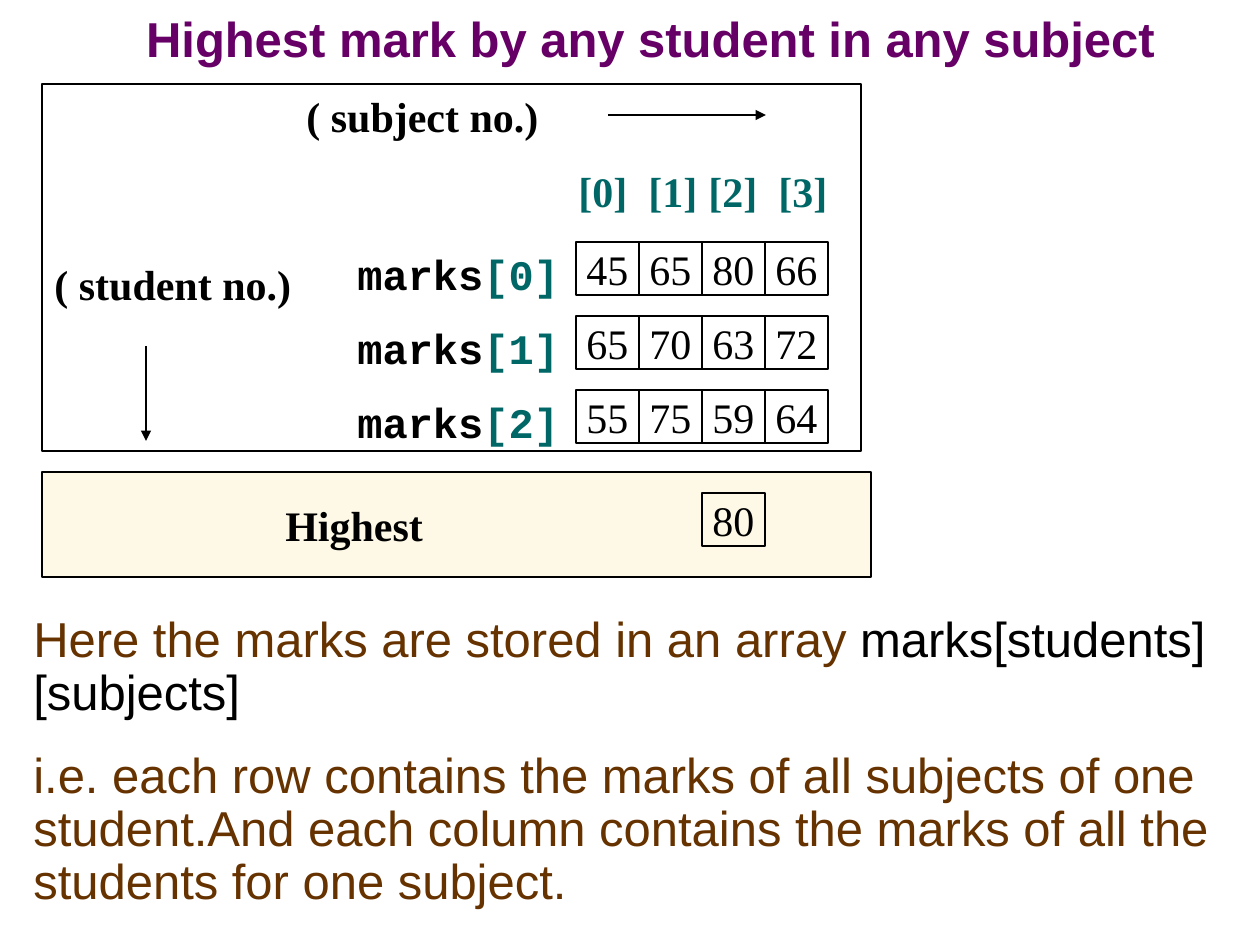
from lxml import etree
from pptx import Presentation
from pptx.dml.color import RGBColor
from pptx.enum.shapes import MSO_CONNECTOR, MSO_SHAPE
from pptx.enum.text import MSO_ANCHOR, PP_ALIGN
from pptx.oxml.ns import qn
from pptx.util import Emu, Pt

RECTANGLE, STRAIGHT = MSO_SHAPE.RECTANGLE, MSO_CONNECTOR.STRAIGHT
TOP, MIDDLE = MSO_ANCHOR.TOP, MSO_ANCHOR.MIDDLE
LEFT, CENTER = PP_ALIGN.LEFT, PP_ALIGN.CENTER
PX = 914400 // 126

BLACK, PURPLE, BROWN, TEAL, CREAM = "000000", "660066", "663300", "006666", "FEF9E6"

TITLE_FONT = {"name": "Arial", "size": Pt(28), "bold": True}
BODY_FONT = {"name": "Arial", "size": Pt(28), "bold": False}
LABEL_FONT = {"name": "Times New Roman", "size": Pt(24), "bold": True}
CELL_FONT = {"name": "Times New Roman", "size": Pt(24), "bold": False}
CODE_FONT = {"name": "Courier New", "size": Pt(24), "bold": True}

TITLE = "Highest mark by any student in any subject"
EXPLANATION = [
    [("Here the marks are stored in an array ", BROWN), ("marks[students][subjects]", BLACK)],
    [("i.e. each row contains the marks of all subjects of one student."
      "And each column contains the marks of all the students for one subject.", BROWN)],
]
MARKS = [
    [45, 65, 80, 66],
    [65, 70, 63, 72],
    [55, 75, 59, 64],
]
LABELS = [
    ("( subject no.)", (294, 84, 283, 63)),
    ("( student no.)", (42, 252, 283, 63)),
    ("Highest", (273, 493, 179, 63)),
]
PANELS = [((42, 84, 819, 367), None), ((42, 472, 829, 105), CREAM)]
ARROWS = [(146, 346, 146, 441), (608, 115, 766, 115)]
INDEX_TABS = [70, 130, 200]
GRID_LEFT, GRID_TOP = 576, 242
CELL_WIDTH, CELL_HEIGHT, ROW_PITCH = 63, 53, 74
HIGHEST_TOP = 493


def px(*lengths):
    return [Emu(length * PX) for length in lengths]


def color(value):
    return RGBColor.from_string(value)


def write(shape, paragraphs, font, align=LEFT, anchor=TOP, wrap=True, **spacing):
    frame = shape.text_frame
    frame.word_wrap = wrap
    frame.vertical_anchor = anchor
    for index, spans in enumerate(paragraphs):
        para = frame.add_paragraph() if index else frame.paragraphs[0]
        para.alignment = align
        for name, value in spacing.items():
            setattr(para, name, value)
        for text, hue in spans:
            span = para.add_run()
            span.text = text
            span.font.color.rgb = color(hue)
            for name, value in font.items():
                setattr(span.font, name, value)


def add_text(page, place, paragraphs, font, **layout):
    box = page.shapes.add_textbox(*px(*place))
    write(box, paragraphs, font, **layout)
    return box


def add_panel(page, place, fill=None):
    panel = page.shapes.add_shape(RECTANGLE, *px(*place))
    panel.shadow.inherit = False
    if fill:
        panel.fill.solid()
        panel.fill.fore_color.rgb = color(fill)
    else:
        panel.fill.background()
    panel.line.color.rgb = color(BLACK)
    panel.line.width = Pt(0.75)
    return panel


def add_cell(page, column, top, mark):
    left = GRID_LEFT + column * CELL_WIDTH
    cell = add_panel(page, (left, top, CELL_WIDTH, CELL_HEIGHT))
    write(cell, [[(str(mark), BLACK)]], CELL_FONT, align=CENTER, anchor=MIDDLE, wrap=False)


def add_arrow(page, ends):
    arrow = page.shapes.add_connector(STRAIGHT, *px(*ends))
    arrow.line.color.rgb = color(BLACK)
    arrow.line.width = Pt(0.75)
    etree.SubElement(arrow.line._get_or_add_ln(), qn("a:tailEnd"), type="triangle")
    etree.SubElement(arrow._element.spPr, qn("a:effectLst"))


def add_index_header(page):
    text = "\t".join(f"[{column}]" for column in range(len(MARKS[0])))
    header = add_text(page, (566, 159, 283, 63), [[(text, TEAL)]], LABEL_FONT)
    properties = header.text_frame.paragraphs[0]._p.get_or_add_pPr()
    stops = etree.SubElement(properties, qn("a:tabLst"))
    for position in INDEX_TABS:
        etree.SubElement(stops, qn("a:tab"), pos=str(position * PX), algn="l")


def main():
    deck = Presentation()
    deck.slide_width, deck.slide_height = px(1260, 945)
    page = deck.slides.add_slide(deck.slide_layouts[6])

    add_text(page, (47, -10, 1207, 95), [[(TITLE, PURPLE)]], TITLE_FONT,
             align=CENTER, anchor=MIDDLE)
    add_text(page, (21, 609, 1260, 309), EXPLANATION, BODY_FONT,
             line_spacing=0.9, space_before=Pt(17.5))

    for place, fill in PANELS:
        add_panel(page, place, fill)
    add_index_header(page)
    for row, marks in enumerate(MARKS):
        top = GRID_TOP + row * ROW_PITCH
        add_text(page, (345, top, 227, 63), [[("marks", BLACK), (f"[{row}]", TEAL)]],
                 CODE_FONT, wrap=False)
        for column, mark in enumerate(marks):
            add_cell(page, column, top, mark)
    for text, place in LABELS:
        add_text(page, place, [[(text, BLACK)]], LABEL_FONT)
    for ends in ARROWS:
        add_arrow(page, ends)
    add_cell(page, 2, HIGHEST_TOP, max(map(max, MARKS)))

    deck.save("out.pptx")


if __name__ == "__main__":
    main()
